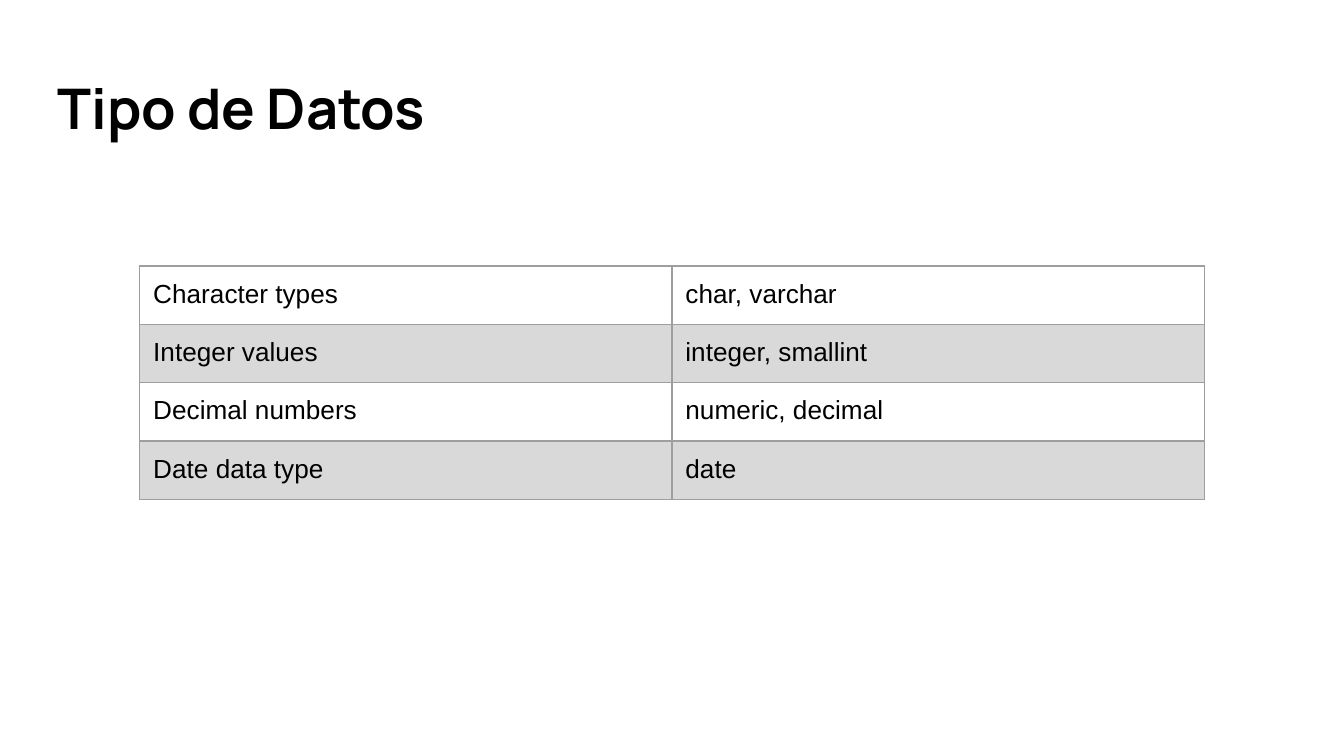
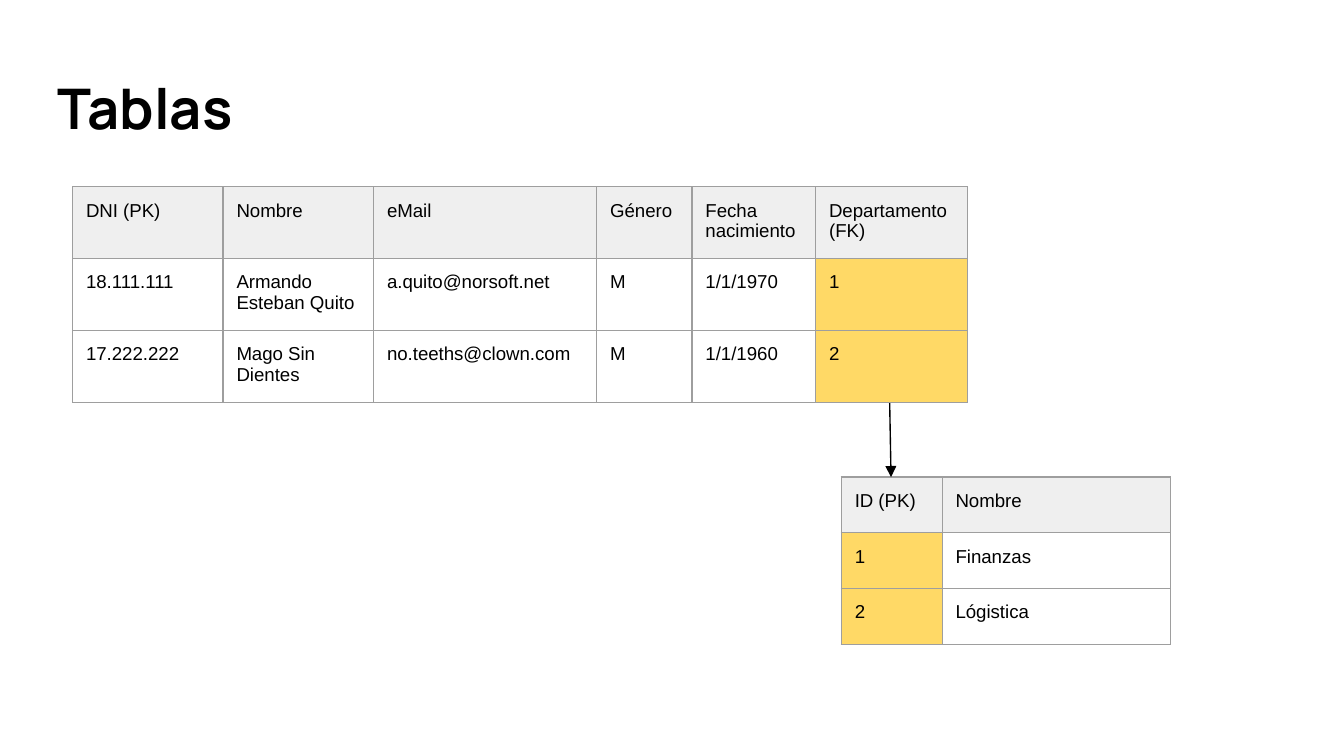
from lxml import etree
from pptx import Presentation
from pptx.dml.color import RGBColor
from pptx.enum.shapes import MSO_CONNECTOR
from pptx.enum.text import MSO_ANCHOR
from pptx.oxml import parse_xml
from pptx.oxml.ns import nsdecls, qn
from pptx.util import Pt

STRAIGHT = MSO_CONNECTOR.STRAIGHT
MIDDLE = MSO_ANCHOR.MIDDLE

PX = 4572  # 200 px to the inch
INSET = 20 * PX
ROW_HEIGHT = 83
BLACK = "000000"
BORDER = "9E9E9E"
BAND = "D9D9D9"
HEADER = "EFEFEF"
KEY = "FFD966"


def add_text(frame, text, font_name, size, bold=False):
    span = frame.paragraphs[0].add_run()
    span.text = text
    span.font.name = font_name
    span.font.size = Pt(size)
    span.font.bold = bold
    span.font.color.rgb = RGBColor.from_string(BLACK)


def add_grid(page, left, top, widths, size, rows, fills):
    """Draw a bordered table; fills holds one colour or None for each cell."""
    table = page.shapes.add_table(
        len(rows), len(widths), left * PX, top * PX,
        sum(widths) * PX, len(rows) * ROW_HEIGHT * PX).table
    table.first_row = table.horz_banding = False
    for column, width in zip(table.columns, widths):
        column.width = width * PX
    for r, (row, row_fills) in enumerate(zip(rows, fills)):
        table.rows[r].height = ROW_HEIGHT * PX
        for c, (text, fill) in enumerate(zip(row, row_fills)):
            cell = table.cell(r, c)
            cell.margin_left = cell.margin_right = INSET
            cell.margin_top = cell.margin_bottom = INSET
            add_text(cell.text_frame, text, "Arial", size)
            properties = cell._tc.get_or_add_tcPr()
            for side in ("lnL", "lnR", "lnT", "lnB"):
                properties.append(parse_xml(
                    f'<a:{side} {nsdecls("a")} w="{Pt(0.75)}"><a:solidFill>'
                    f'<a:srgbClr val="{BORDER}"/></a:solidFill></a:{side}>'))
            if fill:
                cell.fill.solid()
                cell.fill.fore_color.rgb = RGBColor.from_string(fill)
            else:
                cell.fill.background()


deck = Presentation()
deck.slide_width = 2000 * PX
deck.slide_height = 1125 * PX

# Both slides carry the same title box
pages = []
for title in ("Tipo de Datos", "Tablas"):
    page = deck.slides.add_slide(deck.slide_layouts[6])
    box = page.shapes.add_textbox(66 * PX, 90 * PX, 1864 * PX, 140 * PX)
    frame = box.text_frame
    frame.word_wrap = True
    frame.vertical_anchor = MIDDLE
    frame.margin_left = frame.margin_right = INSET
    frame.margin_top = frame.margin_bottom = INSET
    add_text(frame, title, "Manrope", 30, bold=True)
    pages.append(page)
types_page, tables_page = pages

# Data types
data_types = [
    ("Character types", "char, varchar"),
    ("Integer values", "integer, smallint"),
    ("Decimal numbers", "numeric, decimal"),
    ("Date data type", "date"),
]
add_grid(types_page, 208, 396, [792, 792], 14, data_types,
         [[None] * 2, [BAND] * 2] * 2)

# Employees, with the foreign key in the last column
employees = [
    ("DNI (PK)", "Nombre", "eMail", "Género", "Fecha nacimiento",
     "Departamento (FK)"),
    ("18.111.111", "Armando Esteban Quito", "a.quito@norsoft.net", "M",
     "1/1/1970", "1"),
    ("17.222.222", "Mago Sin Dientes", "no.teeths@clown.com", "M",
     "1/1/1960", "2"),
]
add_grid(tables_page, 108, 278, [224, 224, 332, 142, 184, 226], 10, employees,
         [[HEADER] * 6] + [[None] * 5 + [KEY]] * 2)

# Departments, with the primary key in the first column
departments = [("ID (PK)", "Nombre"), ("1", "Finanzas"), ("2", "Lógistica")]
add_grid(tables_page, 1252, 710, [150, 340], 10, departments,
         [[HEADER] * 2] + [[KEY, None]] * 2)

# Arrow from foreign key to primary key
arrow = tables_page.shapes.add_connector(
    STRAIGHT, 1324 * PX, 600 * PX, 1326 * PX, 710 * PX)
arrow.line.color.rgb = RGBColor.from_string(BLACK)
arrow.line.width = Pt(0.75)
etree.SubElement(arrow.line._get_or_add_ln(), qn("a:tailEnd"), type="triangle")
etree.SubElement(arrow._element.spPr, qn("a:effectLst"))

deck.save("out.pptx")
